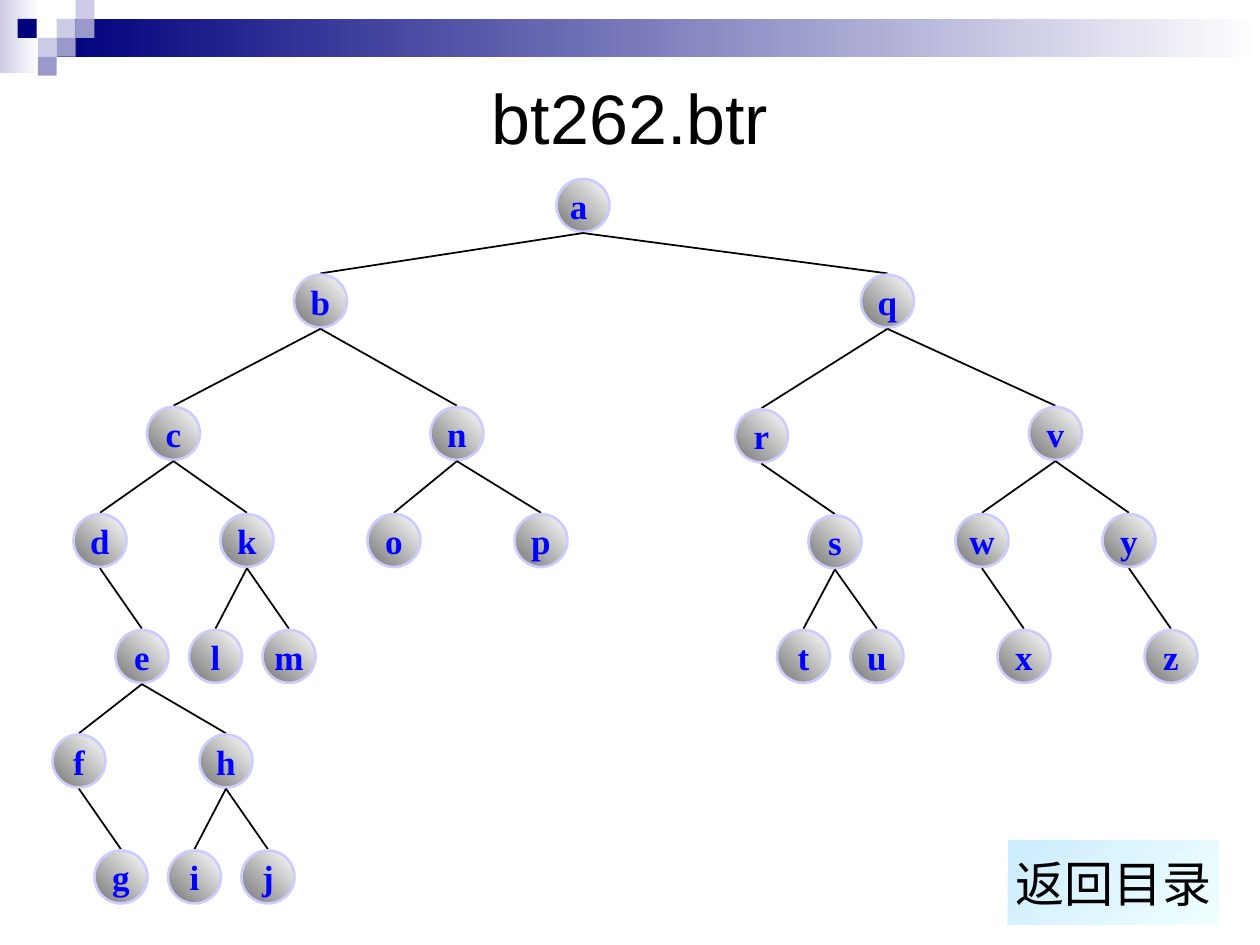
from pptx import Presentation
from pptx.dml.color import RGBColor
from pptx.enum.shapes import MSO_CONNECTOR, MSO_SHAPE as SHAPE
from pptx.enum.text import MSO_ANCHOR, PP_ALIGN
from pptx.oxml.ns import qn
from pptx.util import Inches, Pt
from lxml.etree import SubElement

NODE, GAP, COLUMN = 0.42, 0.01, 1 / 12
ROWS = [1.42, 2.18, 3.23, 4.08, 5, 5.83, 6.75]

# name: (parent, column, row)
TREE = {
    "a": (None, 53, 0),
    "b": ("a", 28, 1), "q": ("a", 82, 1),
    "c": ("b", 14, 2), "n": ("b", 41, 2), "r": ("q", 70, 2), "v": ("q", 98, 2),
    "d": ("c", 7, 3), "k": ("c", 21, 3), "o": ("n", 35, 3), "p": ("n", 49, 3),
    "s": ("r", 77, 3), "w": ("v", 91, 3), "y": ("v", 105, 3),
    "e": ("d", 11, 4), "l": ("k", 18, 4), "m": ("k", 25, 4), "t": ("s", 74, 4),
    "u": ("s", 81, 4), "x": ("w", 95, 4), "z": ("y", 109, 4),
    "f": ("e", 5, 5), "h": ("e", 19, 5),
    "g": ("f", 9, 6), "i": ("h", 16, 6), "j": ("h", 23, 6),
}
NUDGE = {"r": 0.02, "s": 0.01}
LABELS = {"a": "a "}

NAVY, LILAC, VIOLET = "00007D", "CCCCE6", "9999CC"
SQUARES = [
    (0.45, 0.15, LILAC), (0.6, 0, LILAC), (0.6, 0.15, VIOLET), (0.3, 0.3, LILAC),
    (0.14, 0.15, NAVY), (0.45, 0.3, VIOLET), (0.3, 0.45, VIOLET),
]


def rgb(value):
    return RGBColor.from_string(value)


class Deck:
    """Holds the presentation, its text style and the current slide."""

    font = "Arial"
    ink = "000000"

    def __init__(self):
        self.prs = Presentation()
        self.prs.slide_width, self.prs.slide_height = Inches(10), Inches(7.5)
        self.s = self.prs.slides.add_slide(self.prs.slide_layouts[5])

    def style(self, tf, text, size, font=None, color=None, bold=False):
        tf.text = text
        tf.vertical_anchor = MSO_ANCHOR.MIDDLE
        p = tf.paragraphs[0]
        p.alignment = PP_ALIGN.CENTER
        p.font.size, p.font.bold = Pt(size), bold
        p.font.name = font or self.font
        p.font.color.rgb = rgb(color or self.ink)

    def title(self, text, x, y, w, h):
        sp = self.s.shapes.title
        sp.left, sp.top, sp.width, sp.height = map(Inches, (x, y, w, h))
        self.style(sp.text_frame, text, 40)

    def shape(self, kind, x, y, w, h, *colors, angle=0):
        sp = self.s.shapes.add_shape(kind, *map(Inches, (x, y, w, h)))
        sp.shadow.inherit = False
        sp.line.fill.background()
        if len(colors) == 1:
            sp.fill.solid()
            sp.fill.fore_color.rgb = rgb(colors[0])
        else:
            sp.fill.gradient()
            sp.fill.gradient_angle = angle
            for stop, color in zip(sp.fill.gradient_stops, colors):
                stop.color.rgb = rgb(color)
        return sp

    def button(self, text, x, y, w, h):
        sp = self.shape(SHAPE.ACTION_BUTTON_CUSTOM, x, y, w, h, "CCECFF", "F0FFFF", angle=315)
        sp.text_frame.word_wrap = False
        self.style(sp.text_frame, text, 28)

    def node(self, text, x, y):
        sp = self.shape(SHAPE.OVAL, x, y, NODE, NODE, "767676", "FFFFFF", angle=45)
        sp.line.color.rgb = rgb("CCCCFF")
        sp.line.width = Pt(1.5)
        sp.text_frame.word_wrap = False
        self.style(sp.text_frame, text, 20, "Times New Roman", "0000FF", True)

    def edge(self, parent, child):
        (x1, y1), (x2, y2) = parent, child
        ends = (x1 + NODE / 2, y1 + NODE + GAP, x2 + NODE / 2, y2 - GAP)
        line = self.s.shapes.add_connector(MSO_CONNECTOR.STRAIGHT, *map(Inches, ends))
        line.line.color.rgb = rgb(self.ink)
        line.line.width = Pt(1)
        SubElement(line._element.spPr, qn("a:effectLst"))


def main():
    deck = Deck()
    deck.shape(SHAPE.RECTANGLE, 0, 0, 0.31, 0.58, LILAC, "FFFFFF")
    deck.shape(SHAPE.RECTANGLE, 0.45, 0.15, 9.55, 0.3, NAVY, "FFFFFF")
    for x, y, color in SQUARES:
        deck.shape(SHAPE.RECTANGLE, x, y, 0.15, 0.15, color)
    deck.title("bt262.btr", 0.5, 0.3, 9, 1.25)
    deck.button("返回目录", 8, 6.67, 1.67, 0.67)

    spots = {name: (col * COLUMN, ROWS[row] + NUDGE.get(name, 0))
             for name, (_, col, row) in TREE.items()}
    for name, (parent, _, _) in TREE.items():
        if parent:
            deck.edge(spots[parent], spots[name])
        deck.node(LABELS.get(name, name), *spots[name])
    deck.prs.save("out.pptx")


if __name__ == "__main__":
    main()
